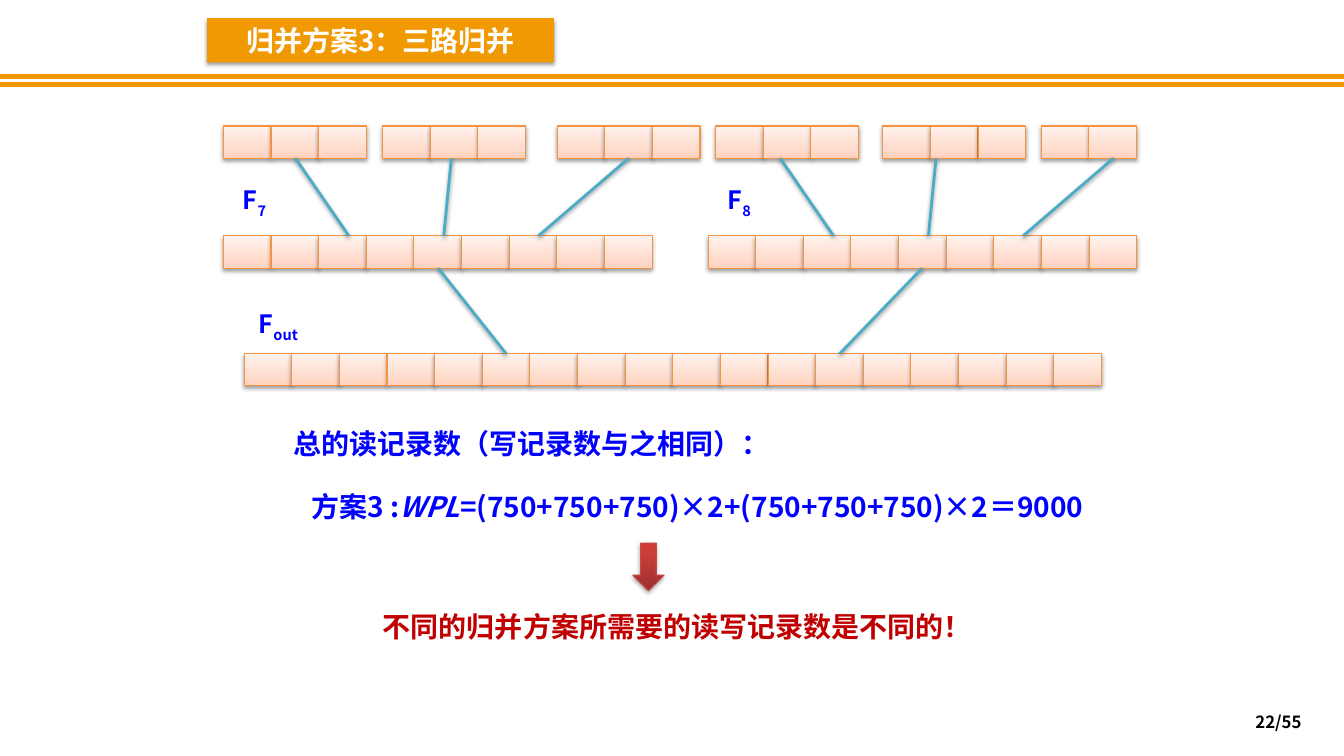
"""Build the slide on merge plan 3, the three-way merge."""
from dataclasses import dataclass, field

from lxml.etree import SubElement
from pptx import Presentation
from pptx.dml.color import RGBColor
from pptx.enum.shapes import MSO_CONNECTOR, MSO_SHAPE
from pptx.enum.text import MSO_ANCHOR, PP_ALIGN
from pptx.oxml.ns import qn
from pptx.util import Pt

FONT = "Noto Sans CJK SC"
WHITE = RGBColor(0xFF, 0xFF, 0xFF)
BLACK = RGBColor(0x00, 0x00, 0x00)
ORANGE = RGBColor(0xF1, 0x99, 0x03)
BLUE = RGBColor(0x00, 0x00, 0xFF)
RED = RGBColor(0xC0, 0x00, 0x00)
TEAL = RGBColor(0x4B, 0xAC, 0xC6)
CELL_EDGE = RGBColor(0xF6, 0x92, 0x40)
ARROW_EDGE = RGBColor(0xBF, 0x4C, 0x48)
CELL_STOPS = [
    (0, RGBColor(0xFF, 0xD2, 0xBD)),
    (35, RGBColor(0xFF, 0xDE, 0xD0)),
    (100, RGBColor(0xFF, 0xF2, 0xED)),
]
ARROW_STOPS = [
    (0, RGBColor(0x9C, 0x2F, 0x2D)),
    (80, RGBColor(0xCB, 0x3E, 0x3A)),
    (100, RGBColor(0xCE, 0x3B, 0x37)),
]

PAGE_WIDTH, PAGE_HEIGHT = 960, 540
CELL_WIDTH, CELL_HEIGHT = 34.02, 23
RUN_TOP, MERGED_TOP, OUTPUT_TOP = 90, 168.5, 252.7
RUN_BOTTOM = RUN_TOP + CELL_HEIGHT
MERGED_BOTTOM = MERGED_TOP + CELL_HEIGHT


@dataclass(frozen=True)
class Strip:
    left: float
    top: float
    cells: int


@dataclass(frozen=True)
class Link:
    start: tuple[float, float]
    end: tuple[float, float]


@dataclass(frozen=True)
class Span:
    text: str
    italic: bool = False
    subscript: bool = False


@dataclass(frozen=True)
class Caption:
    left: float
    top: float
    width: float
    height: float
    spans: list[Span]
    color: RGBColor = BLUE
    size: float = 20
    align: PP_ALIGN = PP_ALIGN.LEFT
    margins: dict[str, float] = field(default_factory=dict)


NO_MARGINS = dict.fromkeys(["margin_left", "margin_right", "margin_top", "margin_bottom"], 0)

STRIPS = [
    *(Strip(left, RUN_TOP, 3) for left in (159.6, 273.4, 398, 511.2, 630.6)),
    Strip(743.8, RUN_TOP, 2),
    Strip(159.6, MERGED_TOP, 9),
    Strip(505.8, MERGED_TOP, 9),
    Strip(174.4, OUTPUT_TOP, 18),
]
LINKS = [
    *(
        Link((shift + start, RUN_BOTTOM), (shift + end, MERGED_TOP))
        for shift in (0, 346.2)
        for start, end in ((211, 249.2), (322.4, 317), (449.2, 384.6))
    ),
    Link((313, MERGED_BOTTOM), (361.6, OUTPUT_TOP)),
    Link((658.8, MERGED_BOTTOM), (599.8, OUTPUT_TOP)),
]
TITLE = Caption(148, 13, 247.6, 31.6, [Span("归并方案3：三路归并")], WHITE, align=PP_ALIGN.CENTER)
CAPTIONS = [
    *(
        Caption(left, top, width, 21.6, [Span("F"), Span(index, subscript=True)],
                size=18, align=PP_ALIGN.CENTER, margins=NO_MARGINS)
        for left, top, width, index in (
            (159.2, 134.8, 45.4, "7"), (505.4, 134.8, 45.4, "8"), (165, 223.4, 67.6, "out"))
    ),
    Caption(202.4, 301, 468, 31.6, [Span("总的读记录数（写记录数与之相同）：")]),
    Caption(215.4, 346.4, 568.8, 55.4, [
        Span("方案3 :"),
        Span("WPL", italic=True),
        Span("=(750+750+750)×2+(750+750+750)×2＝9000"),
    ]),
    Caption(266.4, 432, 444.2, 31.6, [Span("不同的归并方案所需要的读写记录数是不同的！")], RED),
    Caption(712.8, 504.6, 224, 20.8, [Span("22/55")], BLACK, 12, PP_ALIGN.RIGHT),
]


def set_effects(shape, opacity: int = 0) -> None:
    """Replace the theme shadow with a drop shadow, or with none at zero opacity."""
    effects = SubElement(shape._element.spPr, qn("a:effectLst"))
    if opacity:
        shadow = SubElement(effects, qn("a:outerShdw"), blurRad=str(Pt(3.1)), dist=str(Pt(1.6)),
                            dir="5400000", rotWithShape="0")
        color = SubElement(shadow, qn("a:srgbClr"), val=str(BLACK))
        SubElement(color, qn("a:alpha"), val=str(opacity * 1000))


def draw_shape(page, kind: MSO_SHAPE, bounds: tuple[float, ...], stops: list, edge: RGBColor,
               opacity: int) -> None:
    """Draw a preset shape with an upward gradient and a thin edge."""
    shape = page.shapes.add_shape(kind, *map(Pt, bounds))
    gradient = SubElement(shape._element.spPr, qn("a:gradFill"), rotWithShape="1")
    stop_list = SubElement(gradient, qn("a:gsLst"))
    for position, color in stops:
        stop = SubElement(stop_list, qn("a:gs"), pos=str(position * 1000))
        SubElement(stop, qn("a:srgbClr"), val=str(color))
    SubElement(gradient, qn("a:lin"), ang="16200000", scaled="0")
    shape.line.color.rgb = edge
    shape.line.width = Pt(0.75)
    set_effects(shape, opacity)


def draw_strip(page, strip: Strip) -> None:
    """Draw a row of adjoining cells."""
    for index in range(strip.cells):
        bounds = (strip.left + index * CELL_WIDTH, strip.top, CELL_WIDTH, CELL_HEIGHT)
        draw_shape(page, MSO_SHAPE.RECTANGLE, bounds, CELL_STOPS, CELL_EDGE, 38)


def draw_link(page, link: Link, color: RGBColor, width: float, opacity: int = 0) -> None:
    """Draw a straight line between two points."""
    line = page.shapes.add_connector(MSO_CONNECTOR.STRAIGHT, *map(Pt, link.start + link.end))
    line.line.color.rgb = color
    line.line.width = Pt(width)
    set_effects(line, opacity)


def draw_caption(page, caption: Caption):
    """Draw a text box and return it."""
    bounds = (caption.left, caption.top, caption.width, caption.height)
    box = page.shapes.add_textbox(*map(Pt, bounds))
    frame = box.text_frame
    layout = {"word_wrap": True, "vertical_anchor": MSO_ANCHOR.TOP} | caption.margins
    for name, value in layout.items():
        setattr(frame, name, value)
    para = frame.paragraphs[0]
    para.alignment = caption.align
    para.line_spacing = Pt(caption.size * 1.2)
    for span in caption.spans:
        run = para.add_run()
        run.text = span.text
        formats = {"name": FONT, "size": Pt(caption.size), "bold": True, "italic": span.italic}
        for name, value in formats.items():
            setattr(run.font, name, value)
        run.font.color.rgb = caption.color
        properties = run._r.get_or_add_rPr()
        SubElement(properties, qn("a:ea"), typeface=FONT)
        if span.subscript:
            properties.set("baseline", "-25000")
    return box


def main() -> None:
    """Draw the slide and save the deck."""
    deck = Presentation()
    deck.slide_width, deck.slide_height = Pt(PAGE_WIDTH), Pt(PAGE_HEIGHT)
    page = deck.slides.add_slide(deck.slide_layouts[6])
    for top in (54.6, 60.4):
        draw_link(page, Link((0, top), (PAGE_WIDTH, top)), ORANGE, 3)
    title = draw_caption(page, TITLE)
    title.fill.solid()
    title.fill.fore_color.rgb = ORANGE
    set_effects(title, 38)
    for strip in STRIPS:
        draw_strip(page, strip)
    for link in LINKS:
        draw_link(page, link, TEAL, 2, 38)
    for caption in CAPTIONS:
        draw_caption(page, caption)
    draw_shape(page, MSO_SHAPE.DOWN_ARROW, (452, 388, 22.4, 34), ARROW_STOPS, ARROW_EDGE, 35)
    deck.save("out.pptx")


if __name__ == "__main__":
    main()
